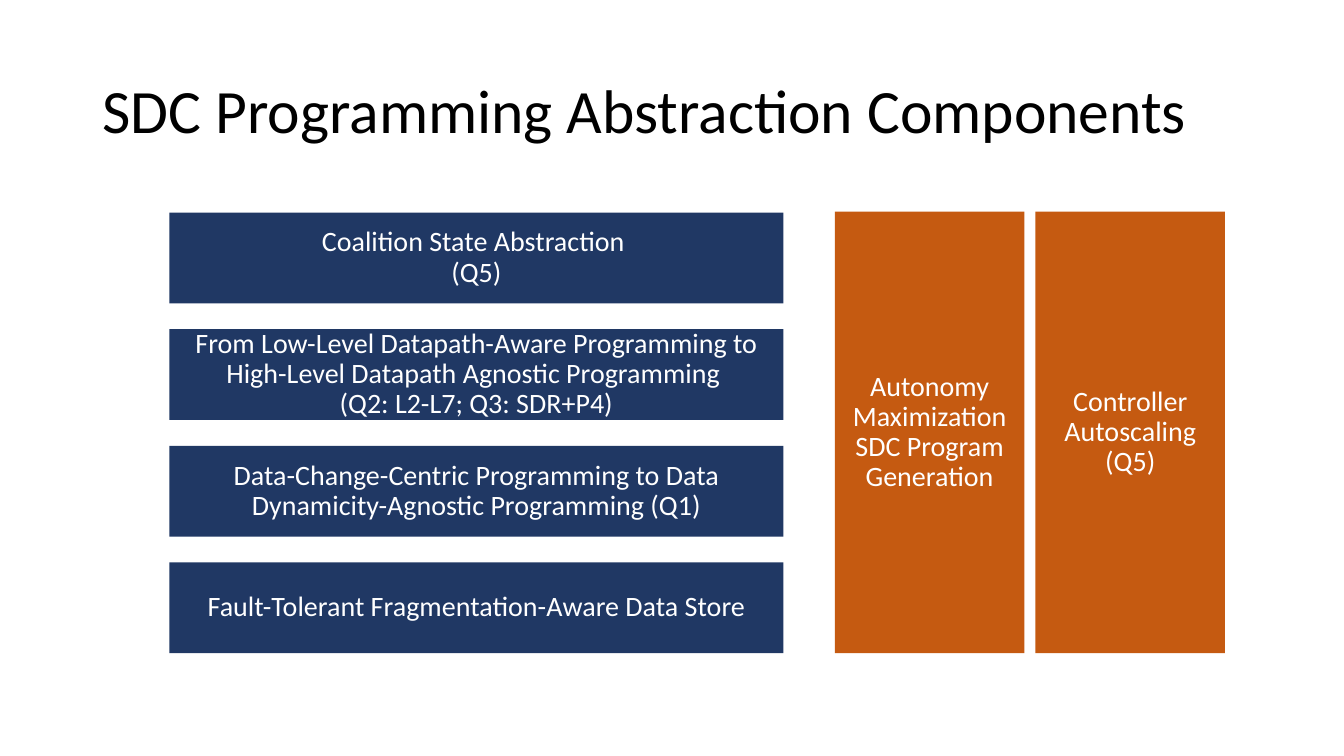
from dataclasses import dataclass

from pptx import Presentation
from pptx.dml.color import RGBColor
from pptx.enum.shapes import MSO_SHAPE
from pptx.enum.text import MSO_ANCHOR, PP_ALIGN
from pptx.util import Inches, Pt

RECT = MSO_SHAPE.RECTANGLE
MIDDLE = MSO_ANCHOR.MIDDLE
LEFT, CENTER = PP_ALIGN.LEFT, PP_ALIGN.CENTER


@dataclass(frozen=True)
class Theme:
    font: str = "Calibri"
    title: int = 44
    body: int = 20
    ink: str = "000000"
    light: str = "FFFFFF"
    navy: str = "203864"
    rust: str = "C55A11"


THEME = Theme()

LAYERS = [
    "Coalition State Abstraction \n(Q5)",
    "From Low-Level Datapath-Aware Programming to "
    "High-Level Datapath Agnostic Programming \n(Q2: L2-L7; Q3: SDR+P4)",
    "Data-Change-Centric Programming to Data "
    "Dynamicity-Agnostic Programming (Q1)",
    "Fault-Tolerant Fragmentation-Aware Data Store",
]
PILLARS = [
    "Autonomy Maximization SDC Program Generation",
    "Controller Autoscaling (Q5)",
]


def write(frame, text, size, color, align):
    """Fill a text frame with one paragraph, centred vertically."""
    frame.word_wrap = True
    frame.vertical_anchor = MIDDLE
    para = frame.paragraphs[0]
    para.text = text
    para.alignment = align
    para.line_spacing = 0.9
    para.font.name = THEME.font
    para.font.size = Pt(size)
    para.font.color.rgb = RGBColor.from_string(color)


def add_title(slide, box, text):
    frame = slide.shapes.add_textbox(*map(Inches, box)).text_frame
    write(frame, text, THEME.title, THEME.ink, LEFT)


def add_block(slide, box, text, fill):
    block = slide.shapes.add_shape(RECT, *map(Inches, box))
    block.shadow.inherit = False
    block.fill.solid()
    block.fill.fore_color.rgb = RGBColor.from_string(fill)
    block.line.fill.background()
    frame = block.text_frame
    frame.margin_left = frame.margin_right = Inches(0.17)
    frame.margin_top = frame.margin_bottom = Inches(0.17)
    write(frame, text, THEME.body, THEME.light, CENTER)


def add_layers(slide, box, texts):
    """Stack equal blocks from top to bottom of the box."""
    left, top, width, height = box
    tall = 0.9
    step = (height - tall) / (len(texts) - 1)
    for row, text in enumerate(texts):
        add_block(slide, (left, top + row * step, width, tall), text, THEME.navy)


def add_pillars(slide, box, texts):
    """Set equal columns from left to right of the box."""
    left, top, width, height = box
    wide = 1.88
    step = (width - wide) / (len(texts) - 1)
    for col, text in enumerate(texts):
        add_block(slide, (left + col * step, top, wide, height), text, THEME.rust)


def main():
    deck = Presentation()
    deck.slide_width, deck.slide_height = Inches(13.33), Inches(7.5)
    slide = deck.slides.add_slide(deck.slide_layouts[6])

    # Heading
    add_title(slide, (0.92, 0.4, 11.5, 1.45), "SDC Programming Abstraction Components")
    # Stacked layers on the left, full-height pillars on the right
    add_layers(slide, (1.68, 2.11, 6.09, 4.37), LAYERS)
    add_pillars(slide, (8.28, 2.1, 3.87, 4.38), PILLARS)

    deck.save("out.pptx")


if __name__ == "__main__":
    main()
